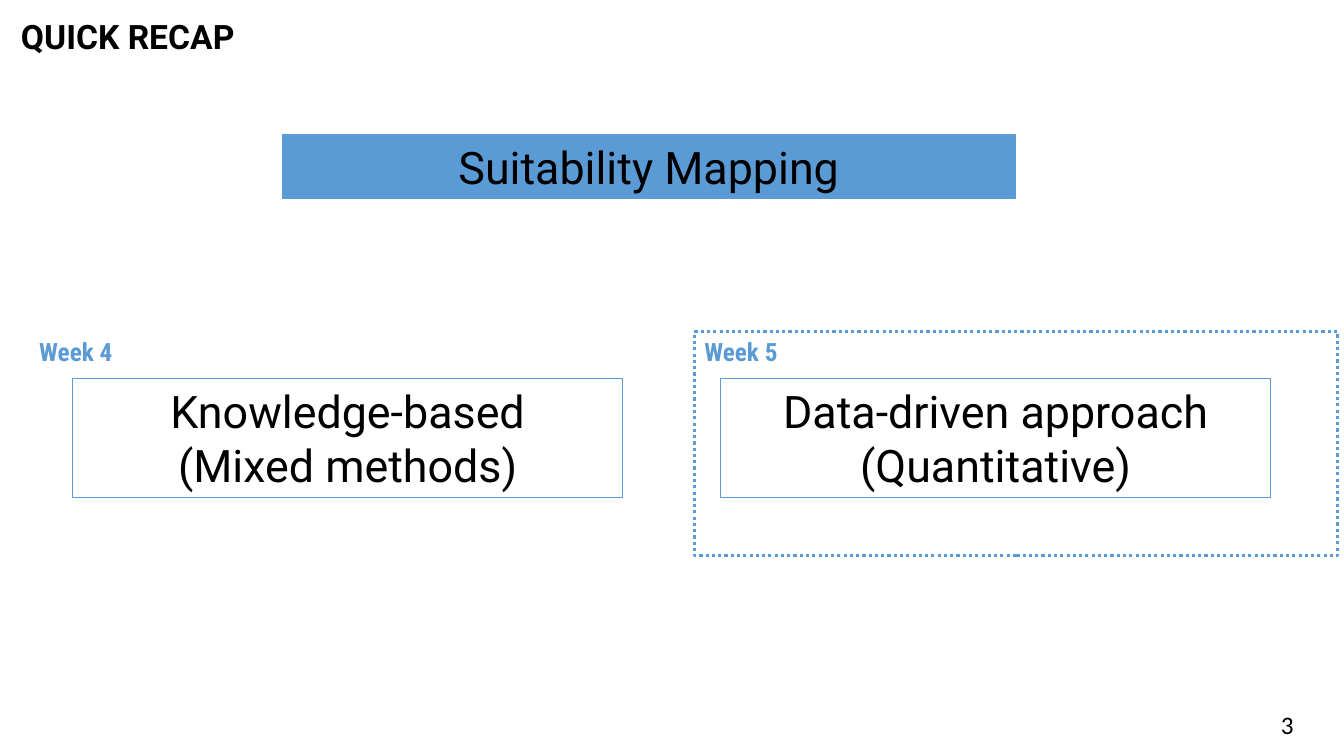
from pptx import Presentation
from pptx.dml.color import RGBColor
from pptx.enum.dml import MSO_LINE_DASH_STYLE as Dash
from pptx.enum.shapes import MSO_SHAPE as Shape
from pptx.enum.text import MSO_ANCHOR as Anchor, PP_ALIGN as Align
from pptx.util import Cm, Pt

BLUE, BLACK = "5B9BD5", "000000"

# Text formats
HEADING = {"name": "Roboto", "size": Pt(24), "bold": True}
TOPIC = {"name": "Roboto", "size": Pt(32), "bold": False}
WEEK = {"name": "Roboto Condensed", "size": Pt(18), "bold": True}
PAGE = {"name": "Calibri", "size": Pt(18), "bold": False}

# Week label, label left, approach left, approach lines
APPROACHES = [
    ("Week 4", 0.74, 1.83, ["Knowledge-based", "(Mixed methods)"]),
    ("Week 5", 17.5, 18.16, ["Data-driven approach", "(Quantitative)"]),
]


def rgb(value):
    return RGBColor.from_string(value)


def write(holder, lines, style, color=BLACK, align=Align.LEFT,
          anchor=Anchor.TOP, spacing=1.0):
    """Fill a shape or text box with one paragraph per line."""
    frame = holder.text_frame
    frame.word_wrap = True
    frame.vertical_anchor = anchor
    frame.text = "\n".join(lines)
    for paragraph in frame.paragraphs:
        paragraph.alignment = align
        paragraph.line_spacing = spacing
        font = paragraph.runs[0].font
        for key, value in style.items():
            setattr(font, key, value)
        font.color.rgb = rgb(color)


def add_label(slide, box, text, style, **options):
    label = slide.shapes.add_textbox(*map(Cm, box))
    write(label, [text], style, **options)


def add_box(slide, box, lines, style, fill=None, width=0.75, dash=None,
            **options):
    panel = slide.shapes.add_shape(Shape.RECTANGLE, *map(Cm, box))
    panel.shadow.inherit = False
    if fill:
        panel.fill.solid()
        panel.fill.fore_color.rgb = rgb(fill)
    else:
        panel.fill.background()
    panel.line.color.rgb = rgb(BLUE)
    panel.line.width = Pt(width)
    if dash:
        panel.line.dash_style = dash
    write(panel, lines, style, **options)


def main():
    deck = Presentation()
    deck.slide_width, deck.slide_height = Cm(33.87), Cm(19.05)
    slide = deck.slides.add_slide(deck.slide_layouts[6])
    centred = {"align": Align.CENTER, "anchor": Anchor.MIDDLE}

    # Heading and main topic
    add_label(slide, (0.28, 0.38, 6.6, 1.8), "QUICK RECAP", HEADING,
              spacing=0.9)
    add_box(slide, (7.11, 3.38, 18.49, 1.63), ["Suitability Mapping"], TOPIC,
            fill=BLUE, **centred)

    # The two approaches, with the current week framed
    for week, week_left, left, lines in APPROACHES:
        area = (week_left, 8.36, 16.21, 5.64)
        if week == "Week 5":
            add_box(slide, area, [week], WEEK, width=2.25,
                    dash=Dash.ROUND_DOT, color=BLUE)
        else:
            add_label(slide, area, week, WEEK, color=BLUE)
        add_box(slide, (left, 9.53, 13.87, 3), lines, TOPIC, **centred)

    # Page number
    add_label(slide, (32.03, 17.75, 1.5, 0.41), "3", PAGE)

    deck.save("out.pptx")


if __name__ == "__main__":
    main()
